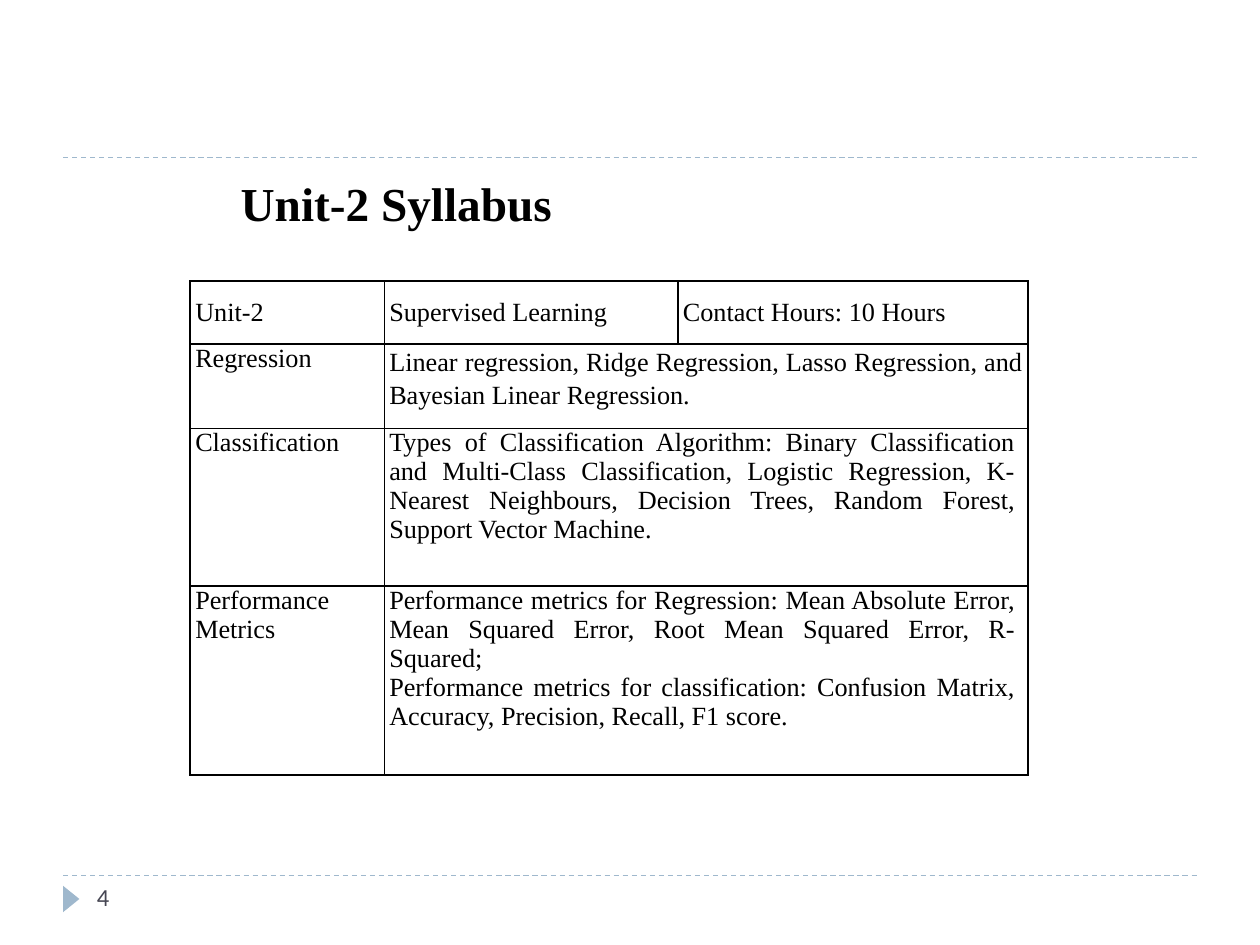
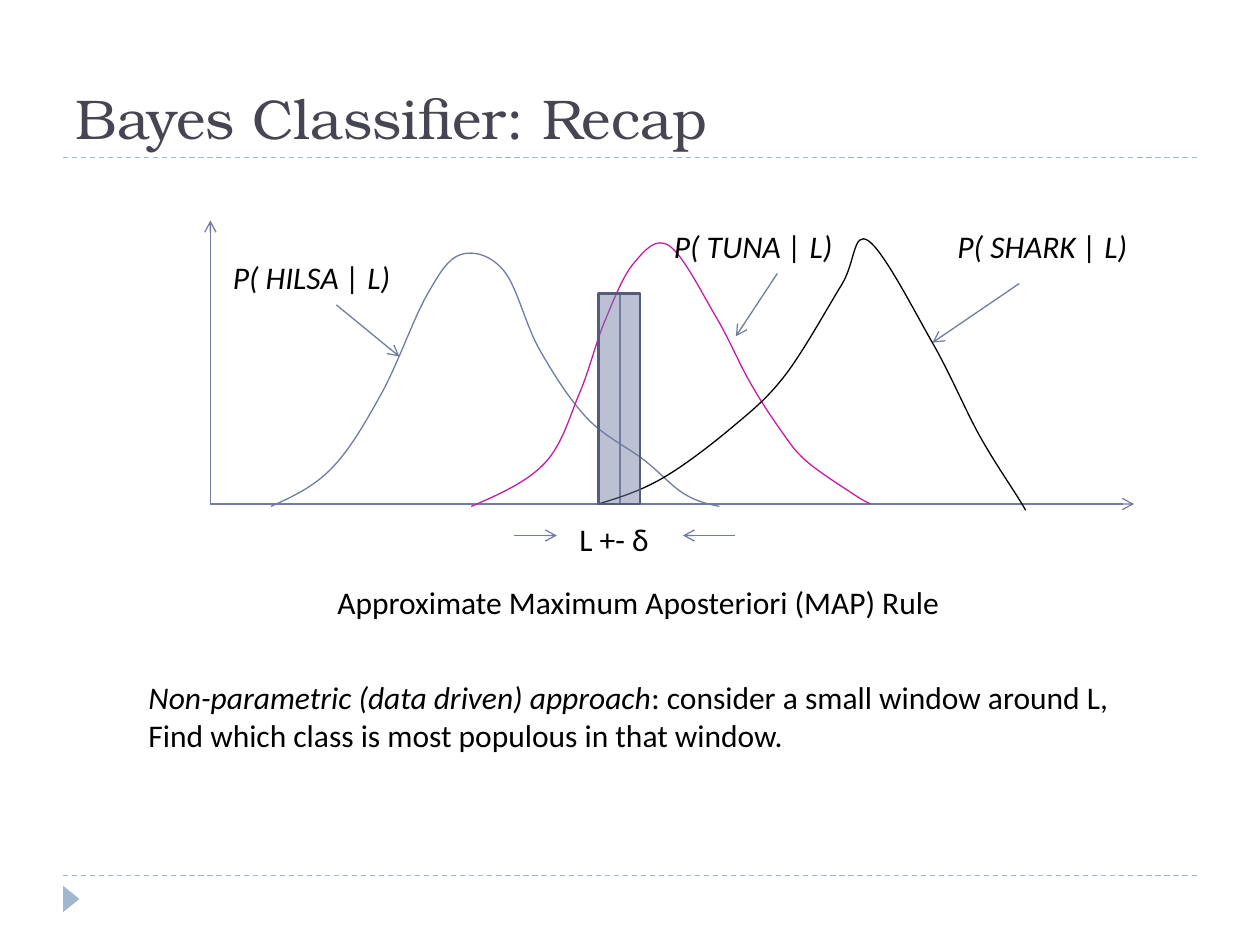
"""Build the Unit-2 syllabus slide and the Bayes classifier recap slide."""
from typing import NamedTuple

from lxml import etree
from pptx import Presentation
from pptx import util as u
from pptx.dml.color import RGBColor
from pptx.enum import dml, shapes, text
from pptx.oxml.ns import qn

BLACK = RGBColor(0, 0, 0)
SLATE = RGBColor(0x46, 0x46, 0x53)
RULE_BLUE = RGBColor(0x9F, 0xB8, 0xCD)
INDIGO = RGBColor(0x72, 0x7C, 0xA3)
DARK_INDIGO = RGBColor(0x54, 0x5C, 0x79)
MAGENTA = RGBColor(0xC3, 0x1D, 0xA3)

BODY_FONT = "Calibri"
TITLE_FONT = "TeX Gyre Bonum"
SYLLABUS_FONT = "Times New Roman"

Point = tuple[float, float]


class Box(NamedTuple):
    left: float
    top: float
    width: float
    height: float

    def lengths(self) -> list[u.Length]:
        return [u.Inches(value) for value in self]


class TextStyle(NamedTuple):
    font: str
    size: float
    color: RGBColor = BLACK
    bold: bool = False
    italic: bool = False


class Line(NamedTuple):
    start: Point
    end: Point
    color: RGBColor = INDIGO
    arrow: bool = False
    dashed: bool = False


class Label(NamedTuple):
    box: Box
    words: str
    italic: bool = False


class Density(NamedTuple):
    color: RGBColor
    knots: list[Point]


class Topic(NamedTuple):
    name: str
    contents: list[str]
    height: float
    right_margin: float = 0.1
    line_spacing: float = 1.0


RULES = [Line((0.5, y), (9.5, y), RULE_BLUE, dashed=True) for y in (6.95, 1.25)]
HEADER = ["Unit-2", "Supervised Learning", "Contact Hours: 10 Hours"]
HEADER_HEIGHT = 0.5
COLUMN_WIDTHS = [1.54, 2.33, 2.78]
TOPICS = [
    Topic("Regression", [
        "Linear regression, Ridge Regression, Lasso Regression, and "
        "Bayesian Linear Regression."], 0.67, 0.04, 1.15),
    Topic("Classification", [
        "Types of Classification Algorithm: Binary Classification and Multi-Class "
        "Classification, Logistic Regression, K-Nearest Neighbours, Decision Trees, "
        "Random Forest, Support Vector Machine."], 1.25),
    Topic("Performance Metrics", [
        "Performance metrics for Regression: Mean Absolute Error, Mean Squared Error, "
        "Root Mean Squared Error, R-Squared;",
        "Performance metrics for classification: Confusion Matrix, Accuracy, "
        "Precision, Recall, F1 score."], 1.5),
]

AXES = [
    Line((1.67, 4), (9, 4), arrow=True),
    Line((1.67, 4), (1.67, 1.75), arrow=True),
]
POINTERS = [
    Line((2.67, 2.42), (3.17, 2.83), arrow=True),
    Line((6.17, 2.17), (5.84, 2.67), arrow=True),
    Line((8.09, 2.25), (7.4, 2.72), arrow=True),
    Line((4.08, 4.25), (4.42, 4.25), arrow=True),
    Line((5.83, 4.25), (5.42, 4.25), arrow=True),
]
WINDOW_CENTRE = Line((4.92, 4), (4.92, 2.33))
WINDOW = Box(4.75, 2.33, 0.33, 1.67)
HILSA = Density(INDIGO, [
    (2.15, 4.02), (2.63, 3.72), (3.03, 3.12), (3.39, 2.34), (3.66, 2.02), (4, 2.15),
    (4.28, 2.77), (4.66, 3.32), (5.11, 3.65), (5.43, 3.92), (5.71, 4.02)])
TUNA = Density(MAGENTA, [
    (3.74, 4.02), (4.32, 3.68), (4.6, 3.12), (4.8, 2.55), (5.03, 2.09), (5.31, 1.95),
    (5.68, 2.51), (5.95, 3.03), (6.2, 3.42), (6.4, 3.66), (6.77, 3.92), (6.91, 4)])
SHARK = Density(BLACK, [
    (4.75, 4), (5.25, 3.8), (5.8, 3.4), (6.23, 2.98), (6.68, 2.26), (6.89, 1.91),
    (7.4, 2.72), (7.77, 3.45), (8.08, 3.95), (8.14, 4.05)])
LABELS = [
    Label(Box(4.5, 4.08, 0.82, 0.4), "L +- δ"),
    Label(Box(1.75, 2, 1.67, 0.4), "P( HILSA | L)", True),
    Label(Box(5.25, 1.75, 1.63, 0.4), "P( TUNA | L)", True),
    Label(Box(7.5, 1.75, 1.82, 0.4), "P( SHARK | L)", True),
    Label(Box(2.58, 4.58, 5.09, 0.4), "Approximate Maximum Aposteriori (MAP) Rule"),
]
APPROACH = "Non-parametric (data driven) approach"
APPROACH_BOX = Box(1.08, 5.33, 7.88, 0.71)


def style_text(paragraph, style: TextStyle) -> None:
    """Apply a text style to every run of a paragraph."""
    for run in paragraph.runs:
        font = run.font
        font.name, font.size = style.font, u.Pt(style.size)
        font.bold, font.italic = style.bold, style.italic
        font.color.rgb = style.color


def add_line(slide, line: Line) -> None:
    """Draw a thin straight line, dashed or with an arrowhead if asked."""
    ends = [u.Inches(value) for value in (*line.start, *line.end)]
    connector = slide.shapes.add_connector(shapes.MSO_CONNECTOR.STRAIGHT, *ends)
    connector.line.color.rgb = line.color
    connector.line.width = u.Pt(0.75)
    if line.dashed:
        connector.line.dash_style = dml.MSO_LINE.DASH
    properties = connector._element.spPr
    if line.arrow:
        etree.SubElement(properties.find(qn("a:ln")), qn("a:tailEnd"), type="arrow")
    etree.SubElement(properties, qn("a:effectLst"))


def add_text(slide, box: Box, words: str, style: TextStyle):
    """Add an unwrapped text box and return it."""
    shape = slide.shapes.add_textbox(*box.lengths())
    frame = shape.text_frame
    frame.text = words
    frame.word_wrap = False
    frame.auto_size = text.MSO_AUTO_SIZE.SHAPE_TO_FIT_TEXT
    for paragraph in frame.paragraphs:
        style_text(paragraph, style)
    return shape


def add_slide(presentation, title: str, box: Box, style: TextStyle,
              anchor: text.MSO_ANCHOR):
    """Add a slide with its title, dashed rules and corner marker."""
    slide = presentation.slides.add_slide(presentation.slide_layouts[5])
    for rule in RULES:
        add_line(slide, rule)
    marker = slide.shapes.add_shape(shapes.MSO_SHAPE.ISOSCELES_TRIANGLE,
                                    *Box(0.46, 7.07, 0.21, 0.13).lengths())
    marker.rotation = 90
    marker.shadow.inherit = False
    marker.fill.solid()
    marker.fill.fore_color.rgb = RULE_BLUE
    marker.line.fill.background()
    heading = slide.shapes.title
    heading.left, heading.top, heading.width, heading.height = box.lengths()
    frame = heading.text_frame
    frame.text = title
    frame.word_wrap = True
    frame.auto_size = text.MSO_AUTO_SIZE.NONE
    frame.vertical_anchor = anchor
    frame.paragraphs[0].alignment = text.PP_ALIGN.LEFT
    style_text(frame.paragraphs[0], style)
    return slide


def add_borders(cell) -> None:
    """Give a cell a black one-point border on each side."""
    properties = cell._tc.get_or_add_tcPr()
    for index, side in enumerate(("lnL", "lnR", "lnT", "lnB")):
        border = etree.Element(qn(f"a:{side}"), w=str(u.Pt(1)))
        fill = etree.SubElement(border, qn("a:solidFill"))
        etree.SubElement(fill, qn("a:srgbClr"), val=str(BLACK))
        properties.insert(index, border)


def fill_cell(cell, paragraphs: list[str], right_margin: float = 0.04) -> None:
    """Write justified syllabus text into a cell."""
    cell.text_frame.text = "\n".join(paragraphs)
    cell.margin_left, cell.margin_right = u.Inches(0.04), u.Inches(right_margin)
    cell.margin_top = cell.margin_bottom = 0
    for paragraph in cell.text_frame.paragraphs:
        paragraph.alignment = text.PP_ALIGN.JUSTIFY
        style_text(paragraph, TextStyle(SYLLABUS_FONT, 15))


def add_syllabus_table(slide) -> None:
    """Add the syllabus table with a header row and one row per topic."""
    heights = [HEADER_HEIGHT, *(topic.height for topic in TOPICS)]
    box = Box(1.51, 2.23, sum(COLUMN_WIDTHS), sum(heights))
    table = slide.shapes.add_table(len(heights), len(COLUMN_WIDTHS), *box.lengths()).table
    table.first_row = table.horz_banding = False
    for column, width in zip(table.columns, COLUMN_WIDTHS):
        column.width = u.Inches(width)
    for row, height in zip(table.rows, heights):
        row.height = u.Inches(height)
    for cell in table.iter_cells():
        cell.fill.background()
        add_borders(cell)
    for column, words in enumerate(HEADER):
        cell = table.cell(0, column)
        fill_cell(cell, [words])
        cell.vertical_anchor = text.MSO_ANCHOR.MIDDLE
    for row, topic in enumerate(TOPICS, start=1):
        fill_cell(table.cell(row, 0), [topic.name])
        contents = table.cell(row, 1)
        contents.merge(table.cell(row, 2))
        fill_cell(contents, topic.contents, topic.right_margin)
        for paragraph in contents.text_frame.paragraphs:
            paragraph.line_spacing = topic.line_spacing


def middle(first: Point, second: Point) -> Point:
    """Return the point halfway between two points."""
    return (first[0] + second[0]) / 2, (first[1] + second[1]) / 2


def control_points(knots: list[Point]) -> list[Point]:
    """Return the knots with two cubic control points between each pair."""
    padded = [knots[0], *knots, knots[-1]]
    points = [knots[0]]
    for before, start, end, after in zip(padded, padded[1:], padded[2:], padded[3:]):
        leave = (start[0] + (end[0] - before[0]) / 6, start[1] + (end[1] - before[1]) / 6)
        arrive = (end[0] - (after[0] - start[0]) / 6, end[1] - (after[1] - start[1]) / 6)
        if start == before:
            leave = middle(start, arrive)
        if end == after:
            arrive = middle(end, leave)
        points += [leave, arrive, end]
    return points


def add_density(slide, density: Density) -> None:
    """Draw one class density as an open smooth outline."""
    points = [(u.Inches(x), u.Inches(y)) for x, y in control_points(density.knots)]
    builder = slide.shapes.build_freeform(*points[0])
    builder.add_line_segments(points[1:], close=False)
    curve = builder.convert_to_shape()
    segments = list(curve._element.iter(qn("a:lnTo")))
    for leave, arrive, end in zip(segments[::3], segments[1::3], segments[2::3]):
        cubic = etree.Element(qn("a:cubicBezTo"))
        leave.addprevious(cubic)
        for segment in (leave, arrive, end):
            cubic.append(segment[0])
            segment.getparent().remove(segment)
    curve.shadow.inherit = False
    curve.fill.background()
    curve.line.color.rgb = density.color
    curve.line.width = u.Pt(0.75)


def add_window(slide) -> None:
    """Draw the translucent window around L."""
    window = slide.shapes.add_shape(shapes.MSO_SHAPE.RECTANGLE, *WINDOW.lengths())
    window.shadow.inherit = False
    window.fill.solid()
    window.fill.fore_color.rgb = INDIGO
    color = window._element.spPr.find(f"{qn('a:solidFill')}/{qn('a:srgbClr')}")
    etree.SubElement(color, qn("a:alpha"), val="48000")
    window.line.color.rgb = DARK_INDIGO
    window.line.width = u.Pt(1.5)


def main() -> None:
    """Build and save both slides."""
    presentation = Presentation()
    presentation.slide_width, presentation.slide_height = u.Inches(10), u.Inches(7.5)
    syllabus = add_slide(presentation, "Unit-2 Syllabus", Box(1.81, 1.33, 6.14, 0.56),
                         TextStyle(SYLLABUS_FONT, 27, bold=True), text.MSO_ANCHOR.TOP)
    number = add_text(syllabus, Box(0.67, 6.95, 2.17, 0.4), "4",
                      TextStyle(BODY_FONT, 14, SLATE))
    number.text_frame.word_wrap = True
    add_syllabus_table(syllabus)

    recap = add_slide(presentation, "Bayes Classifier: Recap", Box(0.5, 0.17, 9, 1.08),
                      TextStyle(TITLE_FONT, 32, SLATE), text.MSO_ANCHOR.BOTTOM)
    for line in (*AXES, *POINTERS, WINDOW_CENTRE):
        add_line(recap, line)
    for density in (HILSA, TUNA, SHARK):
        add_density(recap, density)
    plain = TextStyle(BODY_FONT, 18)
    for label in LABELS:
        add_text(recap, label.box, label.words, plain._replace(italic=label.italic))
    approach = add_text(recap, APPROACH_BOX,
                        f"{APPROACH}\nFind which class is most populous in that window.",
                        plain)
    first = approach.text_frame.paragraphs[0]
    first.add_run().text = ": consider a small window around L,"
    style_text(first, plain)
    first.runs[0].font.italic = True
    add_window(recap)
    presentation.save("out.pptx")


if __name__ == "__main__":
    main()
